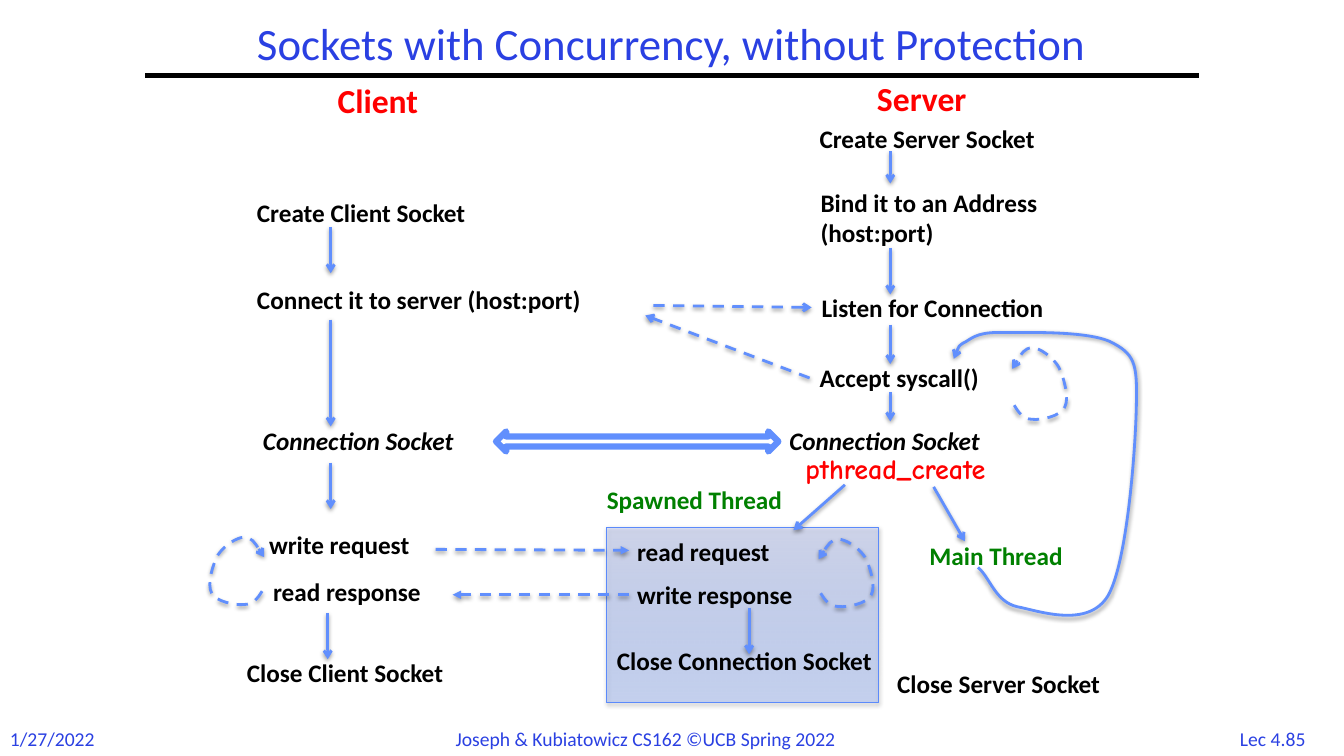
from lxml.etree import SubElement
from pptx import Presentation
from pptx.dml.color import RGBColor
from pptx.enum.dml import MSO_LINE
from pptx.enum.shapes import MSO_CONNECTOR, MSO_SHAPE
from pptx.enum.text import MSO_ANCHOR, MSO_AUTO_SIZE, PP_ALIGN
from pptx.oxml.ns import qn
from pptx.util import Cm, Pt

BLACK = RGBColor(0, 0, 0)
WHITE = RGBColor(255, 255, 255)
RED = RGBColor(255, 0, 0)
GREEN = RGBColor(0, 128, 0)
INK = RGBColor(0x2A, 0x40, 0xE2)
BLUE = RGBColor(0x61, 0x8F, 0xFD)
EDGE = RGBColor(0x5B, 0x8A, 0xFB)
DEEP = RGBColor(0x5F, 0x8E, 0xFF)
PALE = RGBColor(0xC4, 0xD0, 0xFF)

# Content: all positions in inches, turned into Cm by size()
TITLE = "Sockets with Concurrency, without Protection"
FOOT = [  # text, left, width
    ("1/27/2022", 0, 1.07),
    ("Joseph & Kubiatowicz CS162 ©UCB Spring 2022", 4.42, 4.5),
    ("Lec 4.85", 12.2, 0.97),
]
HEADS = [("Client", 3.25, 0.74, 1.14), ("Server", 8.6, 0.72, 1.3)]
STEPS = [  # text, left, top, width
    ("Create Client Socket", 2.45, 1.91, 2.66),
    ("Connect it to server (host:port)", 2.45, 2.77, 3.92),
    ("write request", 2.57, 5.2, 1.77),
    ("read response", 2.61, 5.67, 1.91),
    ("Close Client Socket", 2.35, 6.47, 2.57),
    ("Create Server Socket", 8.03, 1.17, 2.74),
    ("Bind it to an Address\n(host:port)", 8.04, 1.81, 2.8),
    ("Listen for Connection", 8.05, 2.85, 2.8),
    ("Accept syscall()", 8.03, 3.55, 2.13),
    ("read request", 6.22, 5.27, 1.77),
    ("write response", 6.22, 5.7, 1.99),
    ("Close Connection Socket", 6.02, 6.35, 2.94),
    ("Close Server Socket", 8.8, 6.58, 2.7),
]
LINKS = [("Connection Socket", 2.51, 4.17, 2.49),
         ("Connection Socket", 7.73, 4.17, 2.49)]
THREADS = [("Spawned Thread", 5.92, 4.76, 2.22),
           ("Main Thread", 9.12, 5.31, 1.69)]
DOWN = {  # x: (top, bottom) of each downward arrow
    3.28: [(2.25, 2.71), (3.17, 4.23), (4.59, 5.05)],
    3.25: [(6.08, 6.54)],
    7.43: [(6.03, 6.49)],
    8.83: [(1.5, 1.82), (2.46, 2.92), (3.22, 3.61), (3.89, 4.18)],
}
FORK = [(8.38, 4.81, 7.87, 5.26), (9.26, 4.83, 9.57, 5.37)]
CALLS = [(6.48, 3.03, 8.05, 3.05), (8.03, 3.75, 6.4, 3.13)]
DATA = [(4.32, 5.45, 6.24, 5.46), (6.24, 5.9, 4.49, 5.9)]

# Curves: a start point, then three Bezier points for each piece
BACK = [
    (9.7, 5.63), (9.82, 5.73), (9.87, 5.97), (10.09, 6.02),
    (10.3, 6.06), (10.79, 6.24), (10.99, 5.91),
    (11.18, 5.58), (11.26, 4.47), (11.27, 4.06),
    (11.28, 3.64), (11.27, 3.53), (11.05, 3.41),
    (10.84, 3.28), (10.21, 3.3), (9.97, 3.3),
    (9.72, 3.29), (9.66, 3.34), (9.58, 3.39),
    (9.5, 3.43), (9.48, 3.5), (9.46, 3.56),
]
LOOP = [
    (0.02, 0.57), (0.06, 0.64), (0.11, 0.71), (0.2, 0.71),
    (0.28, 0.72), (0.48, 0.68), (0.52, 0.59),
    (0.57, 0.5), (0.51, 0.29), (0.46, 0.19),
    (0.4, 0.09), (0.27, 0), (0.2, 0),
    (0.12, 0), (0.06, 0.11), (0, 0.21),
]
SPOTS = [  # x, y, side, height scale
    (10.04, 3.45, 1, 1), (8.12, 5.35, 1, 0.94), (2.62, 5.33, -1, 0.94)]


def size(*vals):
    return [Cm(2.54 * v) for v in vals]


def shade(shape, alpha=38, dist=1.6):
    fx = SubElement(shape._element.spPr, qn("a:effectLst"))
    if alpha:
        drop = SubElement(fx, qn("a:outerShdw"), blurRad=str(Pt(3.1)),
                          dist=str(Pt(dist)), dir="5400000", rotWithShape="0")
        tone = SubElement(drop, qn("a:srgbClr"), val=str(BLACK))
        SubElement(tone, qn("a:alpha"), val=str(alpha * 1000))


def stroke(shape, dash=False, tip="arrow"):
    shape.line.color.rgb = BLUE
    shape.line.width = Pt(2)
    if dash:
        shape.line.dash_style = MSO_LINE.DASH
    SubElement(shape.line._get_or_add_ln(), qn("a:tailEnd"), type=tip)
    shade(shape)


def arrow(ends, dash=False, tip="arrow"):
    line = shapes.add_connector(MSO_CONNECTOR.STRAIGHT, *size(*ends))
    stroke(line, dash, tip)


def curve(points, dash=False):
    first, *rest = [size(*p) for p in points]
    pen = shapes.build_freeform(*first)
    pen.add_line_segments(rest, close=False)
    shape = pen.convert_to_shape()
    shape.fill.background()
    # Join each run of three straight pieces into one Bezier piece
    parts = list(shape._element.iter(qn("a:lnTo")))
    track = parts[0].getparent()
    for i in range(0, len(parts), 3):
        bend = SubElement(track, qn("a:cubicBezTo"))
        for part in parts[i:i + 3]:
            bend.append(part[0])
            track.remove(part)
    stroke(shape, dash)


def label(text, x, y, w, h=0.4, pts=18, color=BLACK, bold=True,
          slant=False, font="Calibri", wrap=False, align=PP_ALIGN.LEFT):
    box = shapes.add_textbox(*size(x, y, w, h))
    frame = box.text_frame
    frame.text = text
    frame.word_wrap = wrap
    frame.auto_size = MSO_AUTO_SIZE.SHAPE_TO_FIT_TEXT
    for para in frame.paragraphs:
        para.alignment = align
        for run in para.runs:
            face = run.font
            face.name, face.size = font, Pt(pts)
            face.bold, face.italic = bold, slant
            face.color.rgb = color
    return frame


deck = Presentation()
deck.slide_width, deck.slide_height = size(13.33, 7.5)
shapes = deck.slides.add_slide(deck.slide_layouts[6]).shapes

# Title, rule and footer
head = label(TITLE, 1.44, 0.17, 10.44, 0.58, 32, INK, False,
             wrap=True, align=PP_ALIGN.CENTER)
head.auto_size = MSO_AUTO_SIZE.NONE
head.vertical_anchor = MSO_ANCHOR.MIDDLE
head.paragraphs[0].line_spacing = 0.9
rule = shapes.add_connector(MSO_CONNECTOR.STRAIGHT,
                            *size(1.44, 0.75, 11.89, 0.75))
rule.line.color.rgb = BLACK
rule.line.width = Pt(3)
shade(rule, 0)
for text, x, w in FOOT:
    label(text, x, 7.16, w, 0.34, 14, INK, False)

# Panel of the spawned thread
panel = shapes.add_shape(MSO_SHAPE.RECTANGLE, *size(6.02, 5.23, 2.69, 1.74))
panel.fill.gradient()
panel.fill.gradient_angle = 90
for stop, color, alpha in zip(panel.fill.gradient_stops, (DEEP, PALE), (26, 46)):
    stop.color.rgb = color
    tone = stop._gs.find(qn("a:srgbClr"))
    SubElement(tone, qn("a:alpha"), val=str(alpha * 1000))
panel.line.color.rgb = EDGE
panel.line.width = Pt(0.75)
shade(panel, 35, 1.8)

# Two-way link between the connection sockets
link = shapes.add_shape(MSO_SHAPE.LEFT_RIGHT_ARROW, *size(4.92, 4.28, 2.8, 0.2))
link.fill.solid()
link.fill.fore_color.rgb = WHITE
link.line.color.rgb = BLUE
link.line.width = Pt(4.5)
link.shadow.inherit = False

# Arrows
for x, spans in DOWN.items():
    for top, end in spans:
        arrow((x, top, x, end))
for ends in FORK:
    arrow(ends)
for ends in CALLS:
    arrow(ends, True)
for ends in DATA:
    arrow(ends, True, "triangle")
curve(BACK)
for x, y, side, scale in SPOTS:
    curve([(x + side * dx, y + scale * dy) for dx, dy in LOOP], True)

# Labels
for item in HEADS:
    label(*item, h=0.5, pts=24, color=RED)
for item in STEPS:
    label(*item, h=0.71 if "\n" in item[0] else 0.4)
for item in LINKS:
    label(*item, slant=True)
for item in THREADS:
    label(*item, color=GREEN)
label("pthread_create", 7.89, 4.43, 2.41, 0.44, 20, RED,
      font="Comic Neue", wrap=True)

deck.save("out.pptx")
